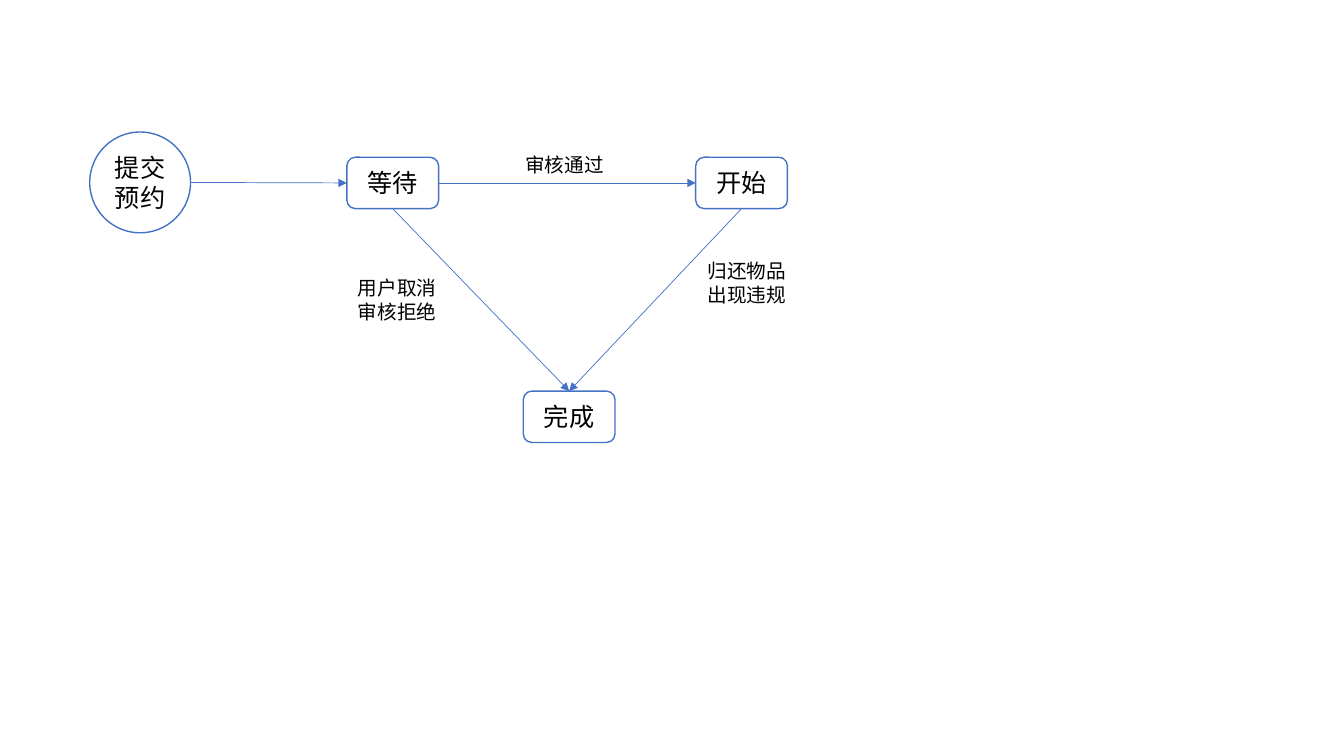
import pptx
import pptx.dml.color
import pptx.enum.shapes
import pptx.enum.text
import pptx.oxml
import pptx.oxml.ns
import pptx.util

PX = 9144  # EMU per px, 100 px to the inch
FONT = "Noto Sans CJK SC"
BLUE, BLACK, WHITE = "4472C4", "000000", "FFFFFF"
SHAPES = pptx.enum.shapes.MSO_SHAPE
ALIGN = pptx.enum.text.PP_ALIGN


def color(value):
    return pptx.dml.color.RGBColor.from_string(value)


def write(frame, lines, size, align):
    for index, line in enumerate(lines):
        para = frame.paragraphs[0] if index == 0 else frame.add_paragraph()
        para.alignment = align
        para.line_spacing = pptx.util.Pt(round(size * 1.2, 1))
        span = para.add_run()
        span.text = line
        for name, value in {"name": FONT, "size": pptx.util.Pt(size)}.items():
            setattr(span.font, name, value)
        span.font.color.rgb = color(BLACK)
        east_asian = pptx.oxml.parse_xml(
            f'<a:ea {pptx.oxml.ns.nsdecls("a")} typeface="{FONT}"/>')
        span.font.fill  # the solid fill stays ahead of the typefaces
        span.font._element.find(pptx.oxml.ns.qn("a:latin")).addnext(east_asian)


deck = pptx.Presentation()
deck.slide_width, deck.slide_height = 1333 * PX, 750 * PX
page = deck.slides.add_slide(deck.slide_layouts[6])

# States: kind, left, top, width, height
states = {
    "提交预约": (SHAPES.OVAL, 89, 131, 100, 100),
    "等待": (SHAPES.ROUNDED_RECTANGLE, 344, 156, 91, 51),
    "开始": (SHAPES.ROUNDED_RECTANGLE, 690, 156, 91, 51),
    "完成": (SHAPES.ROUNDED_RECTANGLE, 519, 388, 91, 51),
}
boxes = {}
for name, (kind, *place) in states.items():
    box = page.shapes.add_shape(kind, *(length * PX for length in place))
    box.shadow.inherit = False
    box.fill.solid()
    box.fill.fore_color.rgb = color(WHITE)
    box.line.color.rgb = color(BLUE)
    box.line.width = pptx.util.Pt(1)
    box.text_frame.vertical_anchor = pptx.enum.text.MSO_ANCHOR.MIDDLE
    write(box.text_frame, [name], 18, ALIGN.CENTER)
    boxes[name] = box

# Transitions: source, side, target, side (0 top, 1 left, 2 bottom, 3 right)
TRANSITIONS = [
    ("提交预约", 3, "等待", 1),
    ("等待", 3, "开始", 1),
    ("等待", 2, "完成", 0),
    ("开始", 2, "完成", 0),
]
for source, source_side, target, target_side in TRANSITIONS:
    start = boxes[source]
    arrow = page.shapes.add_connector(
        pptx.enum.shapes.MSO_CONNECTOR.STRAIGHT,
        start.left + start.width, start.top + start.height // 2, 0, 0)
    # The circle numbers its sides differently, so its arrow starts free
    if start.auto_shape_type != SHAPES.OVAL:
        arrow.begin_connect(start, source_side)
    arrow.end_connect(boxes[target], target_side)
    arrow.line.color.rgb = color(BLUE)
    arrow.line.width = pptx.util.Pt(0.5)
    namespace = pptx.oxml.ns.nsdecls("a")
    arrow.line._get_or_add_ln().append(
        pptx.oxml.parse_xml(f'<a:tailEnd {namespace} type="triangle"/>'))
    arrow._element.spPr.append(pptx.oxml.parse_xml(f"<a:effectLst {namespace}/>"))

# Transition labels: left, top, height, lines
LABELS = [
    (511, 147, 34, ["审核通过"]),
    (692, 252, 57, ["归还物品", "出现违规"]),
    (345, 269, 57, ["用户取消", "审核拒绝"]),
]
for left, top, height, lines in LABELS:
    label = page.shapes.add_textbox(left * PX, top * PX, 99 * PX, height * PX)
    label.text_frame.word_wrap = False
    label.text_frame.auto_size = pptx.enum.text.MSO_AUTO_SIZE.SHAPE_TO_FIT_TEXT
    write(label.text_frame, lines, 14, ALIGN.LEFT)

deck.save("out.pptx")
